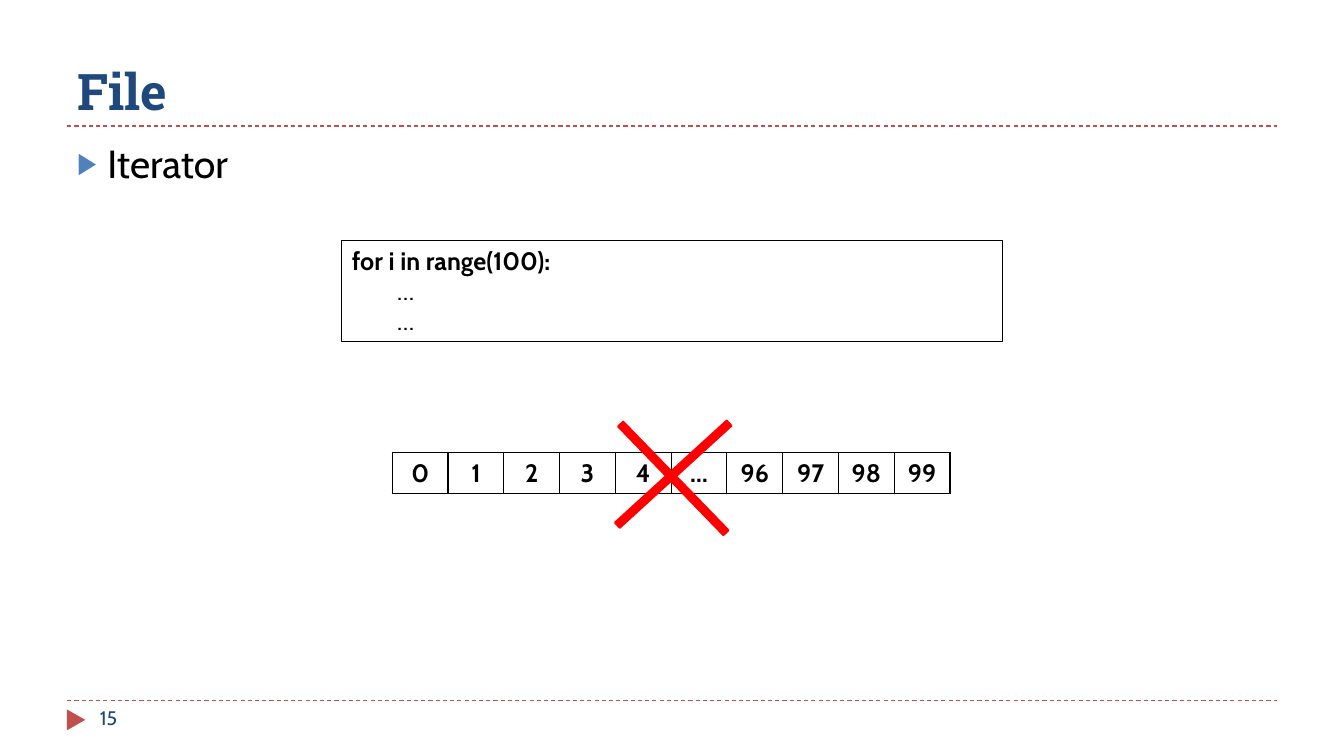
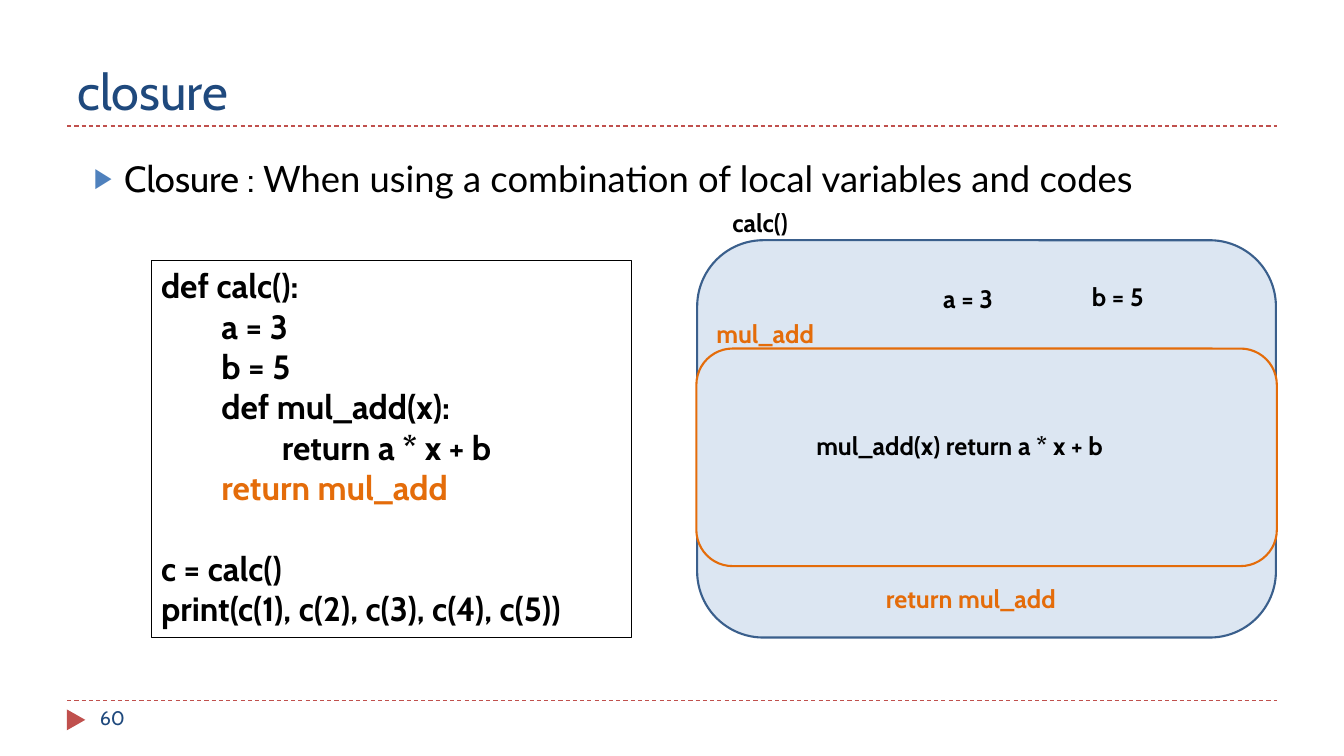
from lxml.etree import SubElement
from pptx import Presentation
from pptx.dml.color import RGBColor
from pptx.enum.dml import MSO_LINE
from pptx.enum.shapes import MSO_CONNECTOR, MSO_SHAPE
from pptx.enum.text import MSO_ANCHOR, MSO_AUTO_SIZE, PP_ALIGN
from pptx.oxml.ns import qn
from pptx.util import Inches, Pt

COLORS = {
    "ink": "000000",
    "paper": "FFFFFF",
    "title": "1F497D",
    "rule": "C0504D",
    "bullet": "4F81BD",
    "accent": "E46C0A",
    "panel": "DCE6F2",
    "edge": "3A5F8C",
    "cross": "FF0000",
}
COLUMNS, ROWS = 160, 90
BODY_FONT, HEAD_FONT, SANS_FONT = "Cabin", "Roboto Slab", "Lato"
LEFT, WIDTH = 8, 144
TITLE_RULE, FOOTER_RULE = 15, 83.4


def rgb(name):
    return RGBColor.from_string(COLORS[name])


def add_text(p, text, size=18, color="ink", bold=False, font=BODY_FONT):
    r = p.add_run()
    r.text = text
    r.font.size = Pt(size)
    r.font.name = font
    r.font.bold = bold
    r.font.color.rgb = rgb(color)


class Deck:
    """Style of the deck and the slide being drawn; lengths are grid columns and rows."""

    def __init__(self):
        self.prs = Presentation()
        self.prs.slide_width, self.prs.slide_height = Inches(13.33), Inches(7.5)
        self.s = None

    def x(self, columns):
        return round(self.prs.slide_width * columns / COLUMNS)

    def y(self, rows):
        return round(self.prs.slide_height * rows / ROWS)

    def box(self, left, top, width, height):
        return self.x(left), self.y(top), self.x(width), self.y(height)

    def slide(self, title, number, **title_format):
        self.s = self.prs.slides.add_slide(self.prs.slide_layouts[5])
        for row in (FOOTER_RULE, TITLE_RULE):
            self.rule(row)
        self.shape(MSO_SHAPE.ISOSCELES_TRIANGLE, 7.8, 84.6, 2.5, 2.2,
                   fill="rule", rotation=90)
        sp = self.s.shapes.title
        sp.left, sp.top, sp.width, sp.height = self.box(LEFT, 2, WIDTH, 13)
        tf = sp.text_frame
        tf.vertical_anchor = MSO_ANCHOR.BOTTOM
        p = tf.paragraphs[0]
        p.alignment = PP_ALIGN.LEFT
        add_text(p, title, size=36, color="title", **title_format)
        self.label(number, 10.7, FOOTER_RULE, 34.7, size=14, color="title")

    def rule(self, row):
        line = self.s.shapes.add_connector(
            MSO_CONNECTOR.STRAIGHT, self.x(LEFT), self.y(row),
            self.x(LEFT + WIDTH), self.y(row))
        line.line.color.rgb = rgb("rule")
        line.line.width = Pt(0.75)
        line.line.dash_style = MSO_LINE.DASH
        SubElement(line._element.spPr, qn("a:effectLst"))

    def shape(self, kind, left, top, width, height, fill=None, line=None,
              weight=1.5, rotation=0):
        sp = self.s.shapes.add_shape(kind, *self.box(left, top, width, height))
        sp.shadow.inherit = False
        sp.rotation = rotation
        if fill:
            sp.fill.solid()
            sp.fill.fore_color.rgb = rgb(fill)
        else:
            sp.fill.background()
        if line:
            sp.line.color.rgb = rgb(line)
            sp.line.width = Pt(weight)
        else:
            sp.line.fill.background()
        return sp

    def text_box(self, left, top, width, height):
        sp = self.s.shapes.add_textbox(*self.box(left, top, width, height))
        sp.text_frame.word_wrap = True
        return sp.text_frame

    def label(self, text, left, top, width, **text_format):
        tf = self.text_box(left, top, width, 4.8)
        add_text(tf.paragraphs[0], text, **text_format)

    def bullet(self, runs, left, top, size):
        """Draw one bulleted line from (text, font) pairs."""
        p = self.text_box(left, top, WIDTH, 64.8).paragraphs[0]
        pPr = p._p.get_or_add_pPr()
        pPr.set("marL", str(Inches(0.3)))
        pPr.set("indent", str(-Inches(0.3)))
        SubElement(SubElement(pPr, qn("a:buClr")), qn("a:srgbClr"),
                   val=COLORS["bullet"])
        SubElement(pPr, qn("a:buSzPct"), val="76000")
        SubElement(pPr, qn("a:buFont"), typeface="Arial")
        SubElement(pPr, qn("a:buChar"), char="▶")
        for text, font in runs:
            add_text(p, text, size=size, font=font)

    def code(self, lines, left, top, width, height, size):
        """Draw a framed listing from (text, format, gap before) triples."""
        sp = self.shape(MSO_SHAPE.RECTANGLE, left, top, width, height,
                        line="ink", weight=0.75)
        tf = sp.text_frame
        tf.word_wrap = True
        tf.auto_size = MSO_AUTO_SIZE.SHAPE_TO_FIT_TEXT
        tf.vertical_anchor = MSO_ANCHOR.TOP
        for i, (text, text_format, gap) in enumerate(lines):
            p = tf.add_paragraph() if i else tf.paragraphs[0]
            p.alignment = PP_ALIGN.LEFT
            if gap:
                p.space_before = Pt(gap)
            add_text(p, text, size=size, **text_format)

    def cells(self, values, left, top, width, height):
        """Draw a one-row table with a thin frame round each cell."""
        frame = self.s.shapes.add_table(
            1, len(values), *self.box(left, top, width, height))
        table = frame.table
        table.first_row = table.horz_banding = False
        for cell, value in zip(table.rows[0].cells, values):
            cell.fill.solid()
            cell.fill.fore_color.rgb = rgb("paper")
            p = cell.text_frame.paragraphs[0]
            p.alignment = PP_ALIGN.CENTER
            add_text(p, value, bold=True)
            tcPr = cell._tc.get_or_add_tcPr()
            for i, side in enumerate(("lnL", "lnR", "lnT", "lnB")):
                ln = SubElement(tcPr, qn(f"a:{side}"), w=str(Pt(1)))
                SubElement(SubElement(ln, qn("a:solidFill")), qn("a:srgbClr"),
                           val=COLORS["ink"])
                tcPr.insert(i, ln)


def iterator_slide(deck):
    deck.slide("File", "15", bold=True, font=HEAD_FONT)
    deck.bullet([("Iterator", BODY_FONT)], 8, 16, size=28)
    body = ("        …", {}, 0)
    deck.code([("for i in range(100):", {"bold": True}, 0), body, body],
              40.7, 28.6, 78.7, 12.1, size=18)
    deck.cells(["0", "1", "2", "3", "4", "…", "96", "97", "98", "99"],
               46.7, 53.9, 66.4, 4.8)
    for top, angle in ((54.7, 317.6), (55.2, 45.9)):
        deck.shape(MSO_SHAPE.MATH_MINUS, 67.9, top, 24.5, 3.5,
                   fill="cross", line="cross", rotation=angle)


def closure_slide(deck):
    deck.slide("closure", "60")
    for line, *place in (("edge", 83, 28.6, 68.9, 47.3),
                         ("accent", 82.9, 41.5, 69.1, 25.9)):
        deck.shape(MSO_SHAPE.ROUNDED_RECTANGLE, *place, fill="panel", line=line)
    deck.bullet([("Closure : ", BODY_FONT),
                 ("When using a combination of local variables and codes",
                  SANS_FONT)], 10, 18, size=26)
    plain = {"bold": True}
    accent = {"bold": True, "color": "accent"}
    deck.code([
        ("def calc():", plain, 0),
        ("        a = 3", plain, 0),
        ("        b = 5", plain, 0),
        ("        def mul_add(x):", plain, 0),
        ("                return a * x + b", plain, 0),
        ("        return mul_add", accent, 0),
        ("c = calc()", plain, 29),
        ("print(c(1), c(2), c(3), c(4), c(5))", plain, 0),
    ], 18, 31, 57.2, 44.9, size=24)
    for text, left, top, width, text_format in (
        ("mul_add(x) return a * x + b", 96, 50.6, 56, plain),
        ("mul_add", 84.1, 37.3, 16, accent),
        ("a = 3", 111.1, 33.1, 10, plain),
        ("b = 5", 128.8, 32.9, 12.1, plain),
        ("calc()", 86, 24.1, 13, plain),
        ("return mul_add", 104.3, 68.9, 27.7, accent),
    ):
        deck.label(text, left, top, width, **text_format)


def main():
    deck = Deck()
    iterator_slide(deck)
    closure_slide(deck)
    deck.prs.save("out.pptx")


if __name__ == "__main__":
    main()
